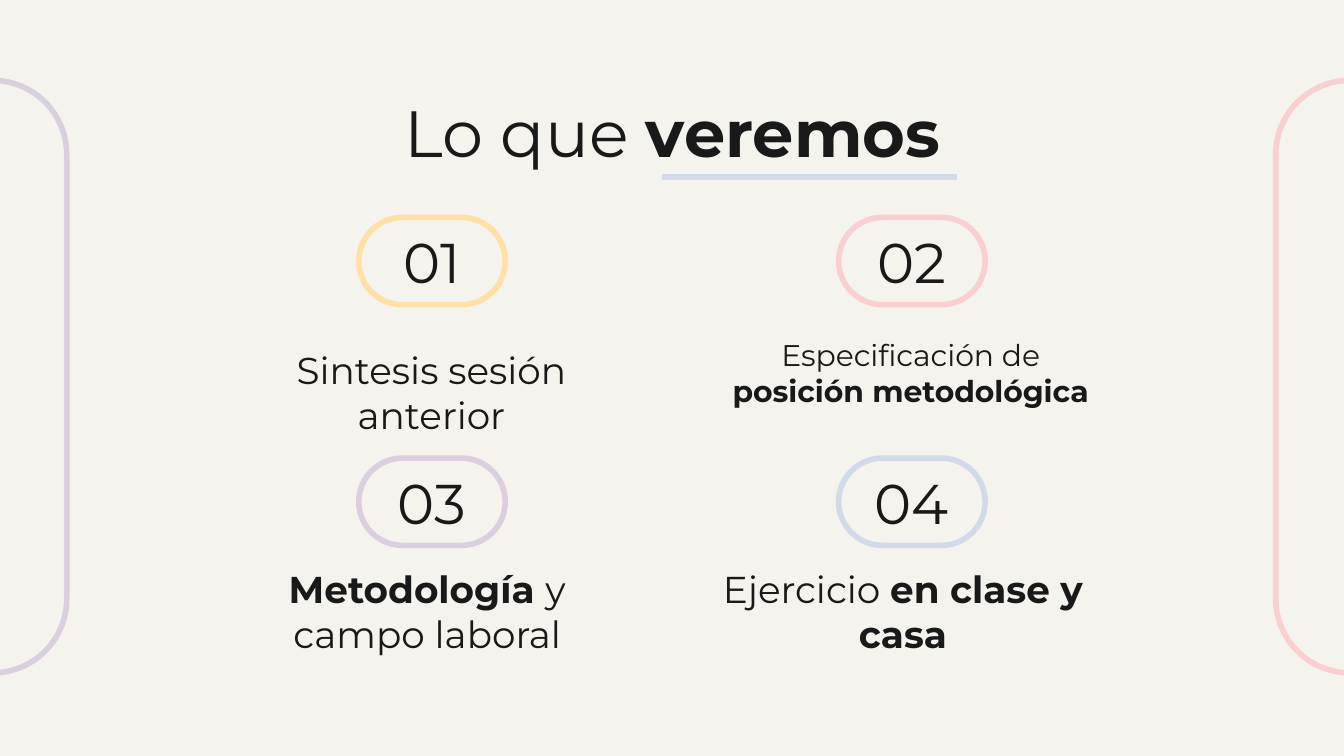
import dataclasses

import lxml.etree
import pptx
import pptx.dml.color
import pptx.enum.shapes
import pptx.enum.text
import pptx.oxml.ns
import pptx.util

Cm = pptx.util.Cm
ANCHOR = pptx.enum.text.MSO_ANCHOR
FONT = "Montserrat"
COLOURS = {
    "paper": "F5F3ED",
    "ink": "191919",
    "yellow": "FFE0A7",
    "pink": "F9CFD0",
    "lilac": "D9CFDE",
    "blue": "D2DAE9",
}
LINE_WIDTH = pptx.util.Pt(3)

# Agenda grid, in centimetres
COLUMNS = (6.78, 15.85)
ROWS = (4.11, 8.66)
PILL_WIDTH, PILL_HEIGHT = 2.77, 1.65
NUMBER_INSET, NUMBER_RISE = 0.41, 0.06
LABEL_WIDTH, LABEL_HEIGHT = 7.87, 1.47


@dataclasses.dataclass
class Run:
    text: str
    bold: bool = False


@dataclasses.dataclass
class Topic:
    colour: str
    runs: list[Run]
    label_left: float
    label_top: float
    size: int = 20


TOPICS = [
    Topic("yellow", [Run("Sintesis sesión anterior")], 4.22, 7.04),
    Topic("pink", [Run("Especificación de "), Run("posición metodológica", True)],
          13.28, 6.5, 16),
    Topic("lilac", [Run("Metodología ", True), Run("y campo laboral")], 4.14, 11.18),
    Topic("blue", [Run("Ejercicio "), Run("en clase y casa", True)], 13.13, 11.18),
]


def colour(name: str) -> pptx.dml.color.RGBColor:
    return pptx.dml.color.RGBColor.from_string(COLOURS[name])


def add_outline(page, left: float, top: float, width: float, height: float,
                line_colour: str, rotation: int = 0) -> None:
    """Draw an unfilled shape with fully rounded ends."""
    outline = page.shapes.add_shape(
        pptx.enum.shapes.MSO_SHAPE.ROUNDED_RECTANGLE,
        Cm(left), Cm(top), Cm(width), Cm(height))
    outline.adjustments[0] = 0.5
    outline.rotation = rotation
    outline.shadow.inherit = False
    outline.fill.background()
    outline.line.color.rgb = colour(line_colour)
    outline.line.width = LINE_WIDTH


def add_text(page, left: float, top: float, width: float, height: float,
             runs: list[Run], size: int, anchor=ANCHOR.TOP) -> None:
    """Draw one centred paragraph made of the given runs."""
    box = page.shapes.add_textbox(Cm(left), Cm(top), Cm(width), Cm(height))
    frame = box.text_frame
    frame.word_wrap = True
    frame.vertical_anchor = anchor
    frame.margin_left = frame.margin_right = Cm(0.25)
    frame.margin_top = frame.margin_bottom = Cm(0.25)
    para = frame.paragraphs[0]
    para.alignment = pptx.enum.text.PP_ALIGN.CENTER
    for run in runs:
        span = para.add_run()
        span.text = run.text
        span.font.name = FONT
        span.font.size = pptx.util.Pt(size)
        span.font.bold = run.bold
        span.font.color.rgb = colour("ink")


def add_rule(page, left: float, right: float, top: float, line_colour: str) -> None:
    rule = page.shapes.add_connector(
        pptx.enum.shapes.MSO_CONNECTOR.STRAIGHT,
        Cm(left), Cm(top), Cm(right), Cm(top))
    rule.line.color.rgb = colour(line_colour)
    rule.line.width = LINE_WIDTH
    lxml.etree.SubElement(rule._element.spPr, pptx.oxml.ns.qn("a:effectLst"))


def add_topic(page, index: int, topic: Topic) -> None:
    """Draw a numbered pill and the label below it."""
    row, column = divmod(index, len(COLUMNS))
    left, top = COLUMNS[column], ROWS[row]
    add_outline(page, left, top, PILL_WIDTH, PILL_HEIGHT, topic.colour)
    add_text(page, left + NUMBER_INSET, top - NUMBER_RISE,
             PILL_WIDTH - 2 * NUMBER_INSET, PILL_HEIGHT, [Run(f"{index + 1:02d}")], 30)
    add_text(page, topic.label_left, topic.label_top, LABEL_WIDTH, LABEL_HEIGHT,
             topic.runs, topic.size, ANCHOR.BOTTOM)


def main() -> None:
    deck = pptx.Presentation()
    deck.slide_width, deck.slide_height = Cm(25.4), Cm(14.29)
    page = deck.slides.add_slide(deck.slide_layouts[6])
    page.background.fill.solid()
    page.background.fill.fore_color.rgb = colour("paper")

    # Side frames, running past the slide edges
    for left, frame_colour in ((-5.74, "lilac"), (19.91, "pink")):
        add_outline(page, left, 5.72, 11.2, 2.8, frame_colour, rotation=90)

    # Heading and its underline
    add_text(page, 2.01, 1.5, 21.41, 1.6, [Run("Lo que "), Run("veremos", True)], 35)
    add_rule(page, 12.52, 18.08, 3.35, "blue")

    # Agenda
    for index, topic in enumerate(TOPICS):
        add_topic(page, index, topic)

    deck.save("out.pptx")


if __name__ == "__main__":
    main()
